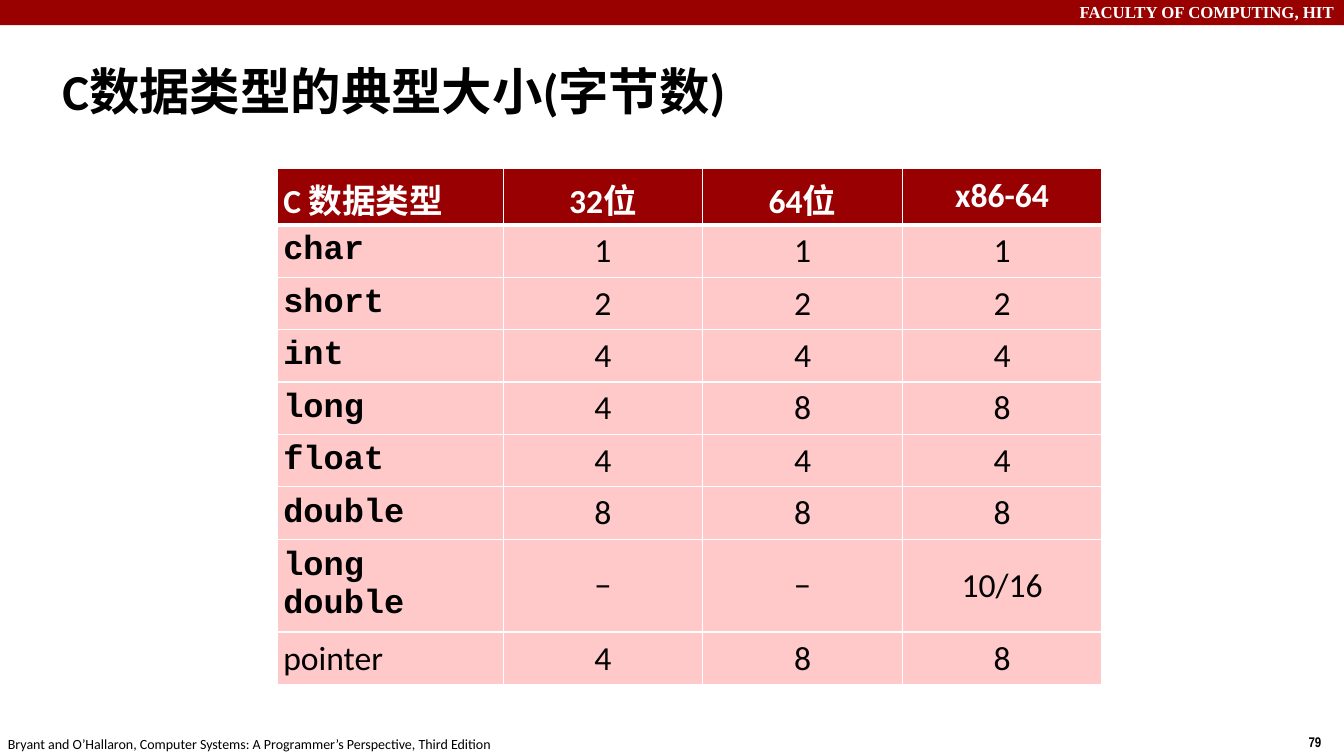
from lxml.etree import SubElement
from pptx import Presentation
from pptx.dml.color import RGBColor
from pptx.enum.shapes import MSO_SHAPE
from pptx.enum.text import MSO_ANCHOR, PP_ALIGN
from pptx.oxml.ns import qn
from pptx.util import Inches, Pt

TITLE = "C数据类型的典型大小(字节数)"
FACULTY = "FACULTY OF COMPUTING, HIT"
BOOK = "Bryant and O’Hallaron, Computer Systems: A Programmer’s Perspective, Third Edition"
PAGE = "79"
TYPE_SIZES = [
    ("C 数据类型", "32位", "64位", "x86-64"),
    ("char", "1", "1", "1"),
    ("short", "2", "2", "2"),
    ("int", "4", "4", "4"),
    ("long", "4", "8", "8"),
    ("float", "4", "4", "4"),
    ("double", "8", "8", "8"),
    ("long double", "−", "−", "10/16"),
    ("pointer", "4", "8", "8"),
]
COLUMN_WIDTHS = [2.24, 1.98, 1.98, 1.98]
HEADER_HEIGHT, ROW_HEIGHT = 0.56, 0.5
COLORS = {
    "band": "990000",
    "header": "980002",
    "body": "FFC8C9",
    "white": "FFFFFF",
    "black": "000000",
}


def style(paragraph, size, font, color, bold=False, align=PP_ALIGN.LEFT):
    paragraph.alignment = align
    paragraph.font.size = Pt(size)
    paragraph.font.name = font
    paragraph.font.bold = bold
    paragraph.font.color.rgb = RGBColor.from_string(COLORS[color])


def add_label(slide, text, box, wrap, *look, anchor=MSO_ANCHOR.TOP):
    frame = slide.shapes.add_textbox(*map(Inches, box)).text_frame
    frame.word_wrap = wrap
    frame.vertical_anchor = anchor
    frame.text = text
    style(frame.paragraphs[0], *look)


def add_borders(cell, row):
    widths = {"lnL": 1, "lnR": 1, "lnT": 3 if row == 1 else 1, "lnB": 3 if row == 0 else 1}
    properties = cell._tc.get_or_add_tcPr()
    for side, width in widths.items():
        line = SubElement(properties, qn(f"a:{side}"), w=str(Pt(width)))
        SubElement(SubElement(line, qn("a:solidFill")), qn("a:srgbClr"), val=COLORS["white"])


def fill_cell(cell, text, row, column):
    is_header = row == 0
    is_keyword = column == 0 and not is_header and text != "pointer"
    add_borders(cell, row)
    cell.fill.solid()
    cell.fill.fore_color.rgb = RGBColor.from_string(COLORS["header" if is_header else "body"])
    cell.margin_left = cell.margin_right = cell.margin_top = cell.margin_bottom = Inches(0.06)
    cell.vertical_anchor = MSO_ANCHOR.MIDDLE
    cell.text = text
    style(
        cell.text_frame.paragraphs[0],
        24,
        "Courier New" if is_keyword else "Calibri",
        "white" if is_header else "black",
        is_header or is_keyword,
        PP_ALIGN.CENTER if column else PP_ALIGN.LEFT,
    )


def add_type_sizes(slide):
    height = HEADER_HEIGHT + ROW_HEIGHT * (len(TYPE_SIZES) - 1)
    box = (2.75, 1.67, sum(COLUMN_WIDTHS), height)
    table = slide.shapes.add_table(len(TYPE_SIZES), len(COLUMN_WIDTHS), *map(Inches, box)).table
    for column, width in enumerate(COLUMN_WIDTHS):
        table.columns[column].width = Inches(width)
    for row, texts in enumerate(TYPE_SIZES):
        table.rows[row].height = Inches(ROW_HEIGHT if row else HEADER_HEIGHT)
        for column, text in enumerate(texts):
            fill_cell(table.cell(row, column), text, row, column)


def main():
    deck = Presentation()
    deck.slide_width, deck.slide_height = Inches(13.33), Inches(7.5)
    slide = deck.slides.add_slide(deck.slide_layouts[6])

    band = slide.shapes.add_shape(MSO_SHAPE.RECTANGLE, 0, 0, deck.slide_width, Inches(0.25))
    band.shadow.inherit = False
    band.fill.solid()
    band.fill.fore_color.rgb = RGBColor.from_string(COLORS["band"])
    band.line.fill.background()

    add_label(slide, FACULTY, (0, -0.03, 13.33, 0.3), True,
              12, "Times New Roman", "white", True, PP_ALIGN.RIGHT)
    add_label(slide, PAGE, (12.88, 7.23, 0.34, 0.27), False, 10, "Arial Narrow", "black", True)
    add_label(slide, BOOK, (-0.02, 7.25, 5.08, 0.27), False, 10, "Calibri", "black")
    add_label(slide, TITLE, (0.52, 0.48, 12.81, 0.83), True,
              36, "Calibri", "black", True, anchor=MSO_ANCHOR.MIDDLE)
    add_type_sizes(slide)
    deck.save("out.pptx")


if __name__ == "__main__":
    main()
